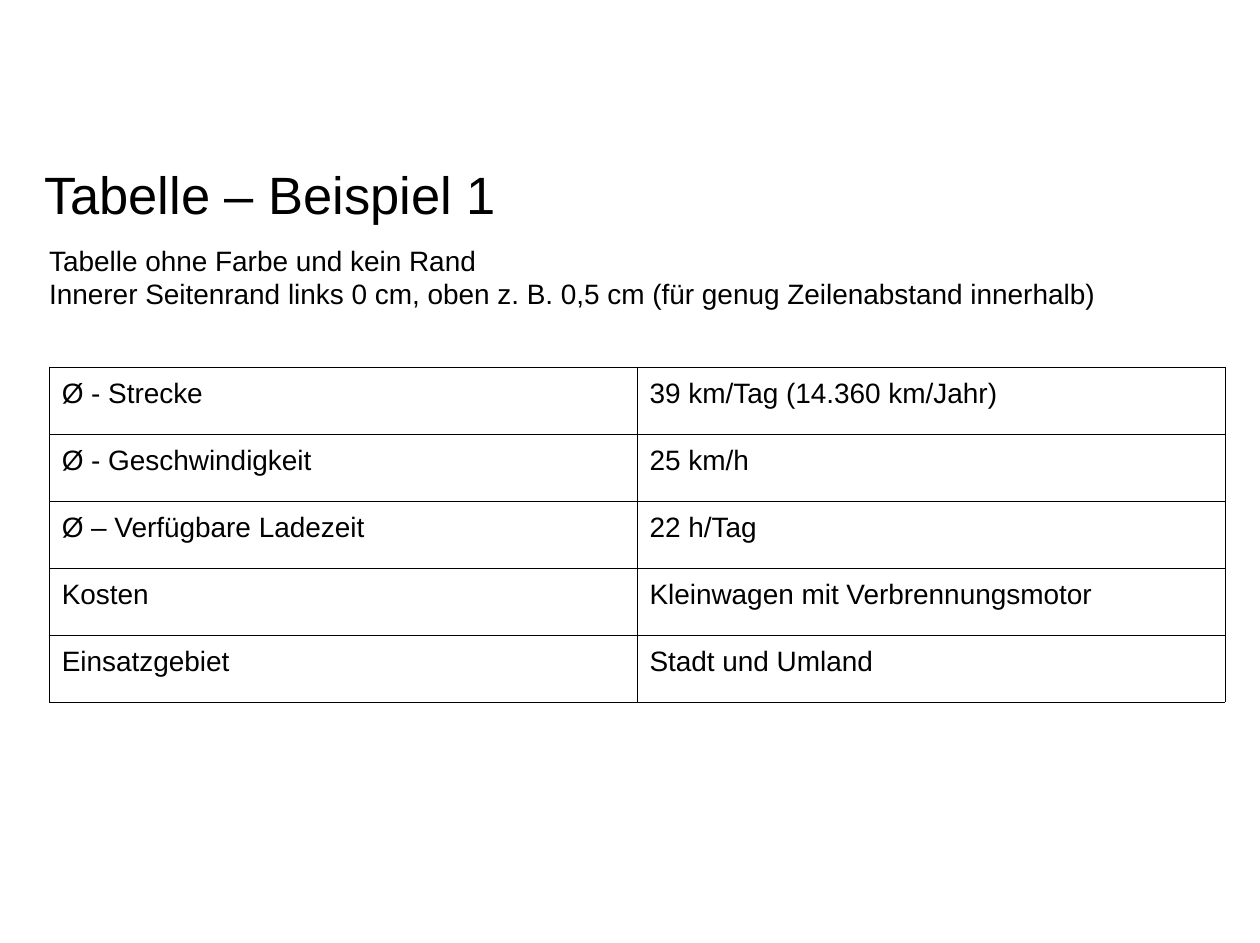
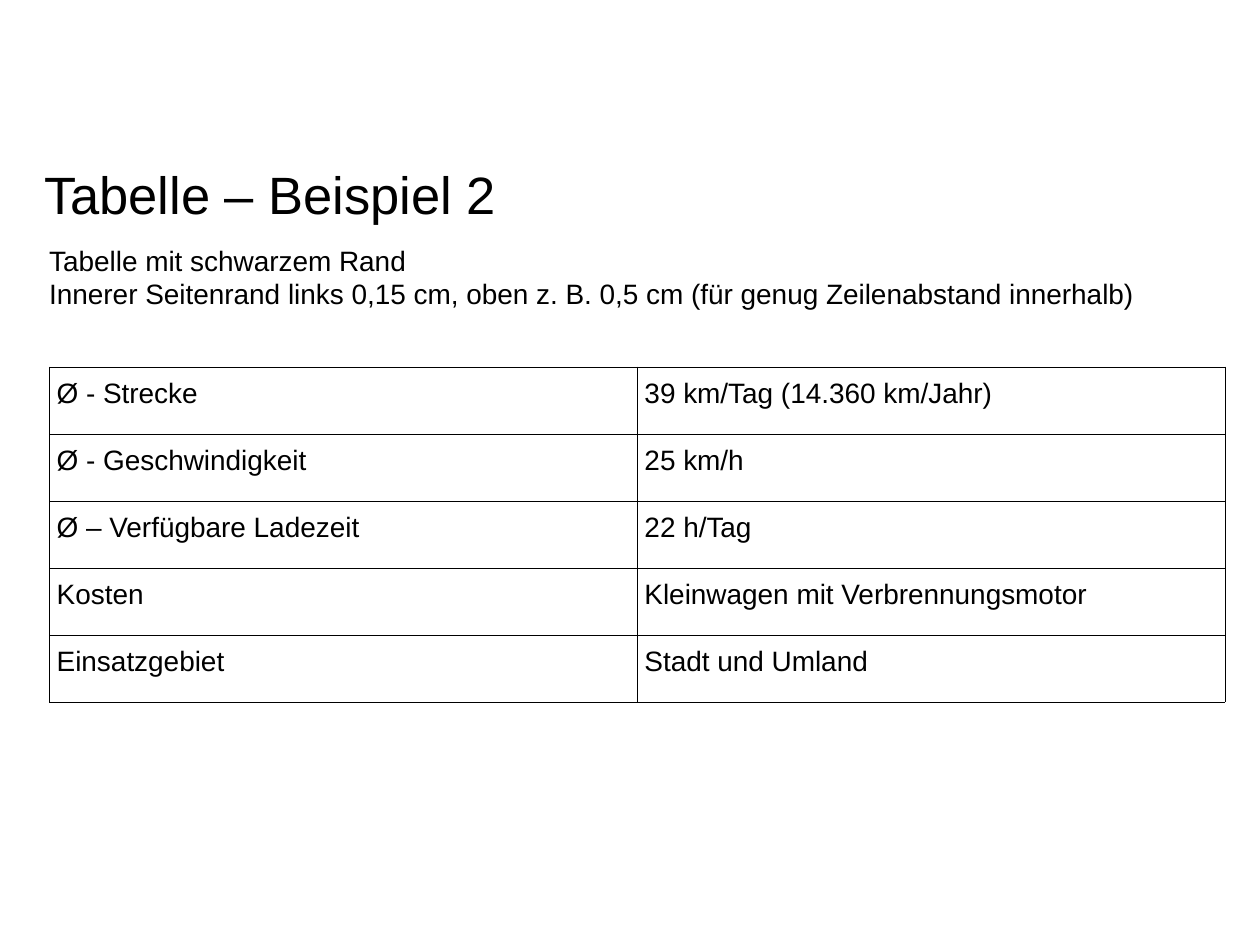
import lxml.etree
import pptx
import pptx.dml.color
import pptx.enum.text
import pptx.oxml.ns
import pptx.util

Inches = pptx.util.Inches
Pt = pptx.util.Pt

FONT = "Arial"
INK = "000000"
PAPER = "FFFFFF"
TITLE_SIZE = 30
BODY_SIZE = 16
BORDER_WIDTH = 0.06

TITLE_BOX = (0.35, 1.3, 9.33, 0.47)
NOTES_BOX = (0.39, 1.93, 9.33, 0.83)
TABLE_BOX = (0.39, 2.91, 9.33, 2.66)

VEHICLE_DATA = [
    ("Ø - Strecke", "39 km/Tag (14.360 km/Jahr)"),
    ("Ø - Geschwindigkeit", "25 km/h"),
    ("Ø – Verfügbare Ladezeit", "22 h/Tag"),
    ("Kosten", "Kleinwagen mit Verbrennungsmotor"),
    ("Einsatzgebiet", "Stadt und Umland"),
]

EXAMPLES = [
    (
        "Tabelle – Beispiel 1",
        [
            "Tabelle ohne Farbe und kein Rand",
            "Innerer Seitenrand links 0 cm, oben z. B. 0,5 cm (für genug Zeilenabstand innerhalb)",
        ],
        0.1,
    ),
    (
        "Tabelle – Beispiel 2",
        [
            "Tabelle mit schwarzem Rand",
            "Innerer Seitenrand links 0,15 cm, oben z. B. 0,5 cm (für genug Zeilenabstand innerhalb)",
        ],
        0.06,
    ),
]


def color(value):
    return pptx.dml.color.RGBColor.from_string(value)


def style_paragraph(paragraph, size):
    for run in paragraph.runs:
        run.font.name = FONT
        run.font.size = Pt(size)
        run.font.color.rgb = color(INK)


def add_text(slide, box, lines, size, anchor):
    frame = slide.shapes.add_textbox(*map(Inches, box)).text_frame
    frame.word_wrap = True
    frame.vertical_anchor = anchor
    frame.margin_left = frame.margin_right = 0
    frame.margin_top = frame.margin_bottom = 0
    frame.text = "\n".join(lines)
    for paragraph in frame.paragraphs:
        style_paragraph(paragraph, size)


def add_borders(cell):
    qn = pptx.oxml.ns.qn
    properties = cell._tc.get_or_add_tcPr()
    for side in ("a:lnL", "a:lnR", "a:lnT", "a:lnB"):
        border = lxml.etree.SubElement(properties, qn(side), w=str(Pt(BORDER_WIDTH)))
        fill = lxml.etree.SubElement(border, qn("a:solidFill"))
        lxml.etree.SubElement(fill, qn("a:srgbClr"), val=INK)


def style_cell(cell, left_margin):
    cell.margin_left = Inches(left_margin)
    cell.margin_right = Inches(0.1)
    cell.margin_top = cell.margin_bottom = Inches(0.05)
    add_borders(cell)
    cell.fill.solid()
    cell.fill.fore_color.rgb = color(PAPER)
    paragraph = cell.text_frame.paragraphs[0]
    paragraph.line_spacing = 1.15
    style_paragraph(paragraph, BODY_SIZE)


def add_vehicle_table(slide, box, left_margin):
    table = slide.shapes.add_table(
        len(VEHICLE_DATA), len(VEHICLE_DATA[0]), *map(Inches, box)
    ).table
    table.first_row = False
    table.horz_banding = False
    for row, values in zip(table.rows, VEHICLE_DATA):
        for cell, value in zip(row.cells, values):
            cell.text_frame.text = value
            style_cell(cell, left_margin)


def add_example_slide(presentation, title, notes, left_margin):
    slide = presentation.slides.add_slide(presentation.slide_layouts[6])
    anchors = pptx.enum.text.MSO_ANCHOR
    add_text(slide, TITLE_BOX, [title], TITLE_SIZE, anchors.MIDDLE)
    add_text(slide, NOTES_BOX, notes, BODY_SIZE, anchors.TOP)
    add_vehicle_table(slide, TABLE_BOX, left_margin)


def main():
    presentation = pptx.Presentation()
    presentation.slide_width = pptx.util.Cm(25.4)
    presentation.slide_height = pptx.util.Cm(19)
    for title, notes, left_margin in EXAMPLES:
        add_example_slide(presentation, title, notes, left_margin)
    presentation.save("out.pptx")


if __name__ == "__main__":
    main()
